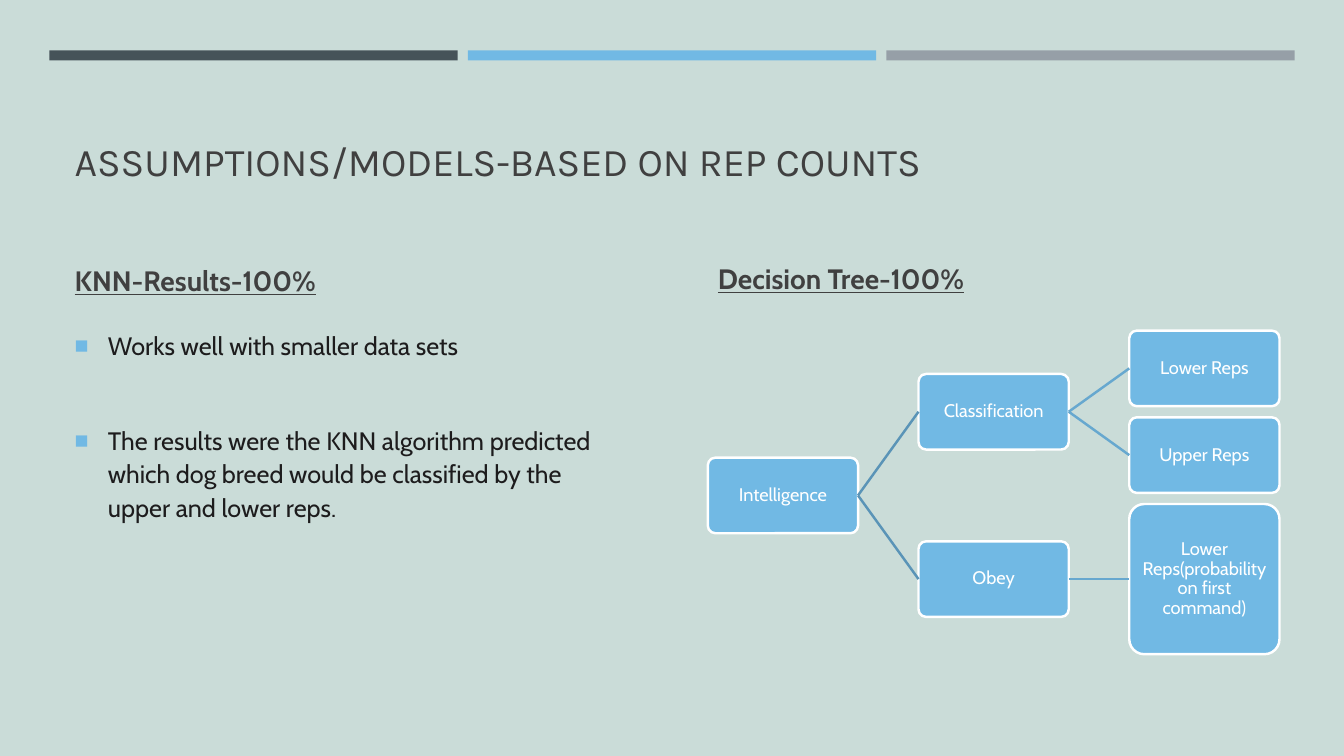
from lxml.etree import SubElement
from pptx import Presentation
from pptx.dml.color import RGBColor
from pptx.enum.shapes import MSO_CONNECTOR, MSO_SHAPE
from pptx.enum.text import MSO_ANCHOR, MSO_AUTO_SIZE, PP_ALIGN
from pptx.oxml.ns import qn
from pptx.util import Inches, Pt

WIDTH, HEIGHT = 13.33, 7.5
MARGIN = 0.64
COLUMN_WIDTH = 5.68
RIGHT_COLUMN = 7.02
BLUE, WHITE, GREY = "71B9E4", "FFFFFF", "404040"

NODE_WIDTH, NODE_HEIGHT = 1.49, 0.75
LEVEL_STEP = 2.09
LEAF_GAP = 0.11
LINK_COLORS = ["5A94B7", "67A8CF"]
# Each node is (label, height, children).
TREE = ("Intelligence", NODE_HEIGHT, [
    ("Classification", NODE_HEIGHT, [
        ("Lower Reps", NODE_HEIGHT, []),
        ("Upper Reps", NODE_HEIGHT, []),
    ]),
    ("Obey", NODE_HEIGHT, [
        ("Lower Reps(probability on first command)", NODE_WIDTH, []),
    ]),
])


def color(hex_string):
    return RGBColor.from_string(hex_string)


def inches(*lengths):
    return [Inches(length) for length in lengths]


def write(paragraph, text, size, text_color, font="Cabin", bold=False, underline=False,
          align=PP_ALIGN.LEFT, line_spacing=1.0, before=0, after=0):
    paragraph.alignment = align
    paragraph.line_spacing = line_spacing
    paragraph.space_before, paragraph.space_after = Pt(before), Pt(after)
    run = paragraph.add_run()
    run.text = text
    run.font.name, run.font.size = font, Pt(size)
    run.font.bold, run.font.underline = bold, underline
    run.font.color.rgb = color(text_color)


def place(placeholder, box, anchor):
    """Move a placeholder to the box and return its text frame."""
    placeholder.left, placeholder.top, placeholder.width, placeholder.height = inches(*box)
    frame = placeholder.text_frame
    frame.word_wrap = True
    frame.auto_size = MSO_AUTO_SIZE.NONE
    frame.vertical_anchor = anchor
    return frame


def add_bullet(paragraph):
    properties = paragraph._p.get_or_add_pPr()
    properties.set("marL", str(Inches(0.33)))
    properties.set("indent", str(-Inches(0.33)))
    bullet_color = SubElement(properties, qn("a:buClr"))
    SubElement(bullet_color, qn("a:srgbClr"), val=BLUE)
    SubElement(properties, qn("a:buSzPct"), val="92000")
    SubElement(properties, qn("a:buFont"), typeface="Arial")
    SubElement(properties, qn("a:buChar"), char="■")


def add_top_bars(slide, left, top, width):
    gap = 0.1
    bar_width = (width - 2 * gap) / 3
    for index, fill in enumerate(["465359", BLUE, "969FA7"]):
        bar = slide.shapes.add_shape(
            MSO_SHAPE.RECTANGLE,
            *inches(left + index * (bar_width + gap), top, bar_width, 0.1))
        bar.shadow.inherit = False
        bar.fill.solid()
        bar.fill.fore_color.rgb = color(fill)
        bar.line.fill.background()


def fill_title(placeholder, box):
    frame = place(placeholder, box, MSO_ANCHOR.BOTTOM)
    write(frame.paragraphs[0], "ASSUMPTIONS/MODELS-BASED ON REP COUNTS", 28, GREY, font="Karla")


def fill_heading(placeholder, box, text, line_spacing):
    frame = place(placeholder, box, MSO_ANCHOR.MIDDLE)
    write(frame.paragraphs[0], text, 20, GREY, bold=True, underline=True,
          line_spacing=line_spacing, before=4, after=6)


def fill_results(placeholder, box):
    frame = place(placeholder, box, MSO_ANCHOR.TOP)
    results = [
        ("Works well with smaller data sets", 3.6),
        ("The results were the KNN algorithm predicted which dog breed would be "
         "classified by the upper and lower reps.", 38),
    ]
    for index, (text, before) in enumerate(results):
        paragraph = frame.add_paragraph() if index else frame.paragraphs[0]
        write(paragraph, text, 18, "1D1C1D", line_spacing=1.1, before=before, after=6)
        add_bullet(paragraph)


def add_node(slide, left, middle, height, label):
    node = slide.shapes.add_shape(
        MSO_SHAPE.ROUNDED_RECTANGLE, *inches(left, middle - height / 2, NODE_WIDTH, height))
    node.adjustments[0] = 0.1
    node.shadow.inherit = False
    node.fill.solid()
    node.fill.fore_color.rgb = color(BLUE)
    node.line.color.rgb = color(WHITE)
    node.line.width = Pt(1.75)
    frame = node.text_frame
    frame.word_wrap = True
    frame.vertical_anchor = MSO_ANCHOR.MIDDLE
    frame.margin_left = frame.margin_right = Inches(0.03)
    frame.margin_top = frame.margin_bottom = Inches(0.03)
    write(frame.paragraphs[0], label, 13, WHITE, align=PP_ALIGN.CENTER, line_spacing=0.9)


def add_link(slide, start, end, link_color):
    link = slide.shapes.add_connector(MSO_CONNECTOR.STRAIGHT, *inches(*start, *end))
    link.line.color.rgb = color(link_color)
    link.line.width = Pt(1.75)
    SubElement(link._element.spPr, qn("a:effectLst"))


def add_tree(slide, tree, left, top, level=0):
    """Stack the leaves from top, centre each parent; return its middle and the next free top."""
    label, height, children = tree
    child_left = left + LEVEL_STEP
    child_middles = []
    next_top = top
    for child in children:
        child_middle, next_top = add_tree(slide, child, child_left, next_top, level + 1)
        child_middles.append(child_middle)
    if children:
        middle = (child_middles[0] + child_middles[-1]) / 2
    else:
        middle = top + height / 2
        next_top = top + height + LEAF_GAP
    add_node(slide, left, middle, height, label)
    for child_middle in child_middles:
        add_link(slide, (left + NODE_WIDTH, middle), (child_left, child_middle),
                 LINK_COLORS[level])
    return middle, next_top


def main():
    presentation = Presentation()
    presentation.slide_width, presentation.slide_height = inches(WIDTH, HEIGHT)
    slide = presentation.slides.add_slide(presentation.slide_layouts.get_by_name("Comparison"))
    slide.background.fill.solid()
    slide.background.fill.fore_color.rgb = color("CADCD8")

    title, left_heading, left_body, right_heading, right_body = slide.placeholders
    right_body._element.getparent().remove(right_body._element)

    add_top_bars(slide, 0.49, 0.5, 12.35)
    fill_title(title, (MARGIN, 0.8, 12.06, 1.08))
    fill_heading(left_heading, (MARGIN, 2.46, COLUMN_WIDTH, 0.61), "KNN-Results-100%", 1.1)
    fill_heading(right_heading, (RIGHT_COLUMN, 2.46, COLUMN_WIDTH, 0.61), "Decision Tree-100%", 1.0)
    fill_results(left_body, (MARGIN, 3.2, COLUMN_WIDTH, 3.21))
    add_tree(slide, TREE, RIGHT_COLUMN, 3.28)
    presentation.save("out.pptx")


if __name__ == "__main__":
    main()
